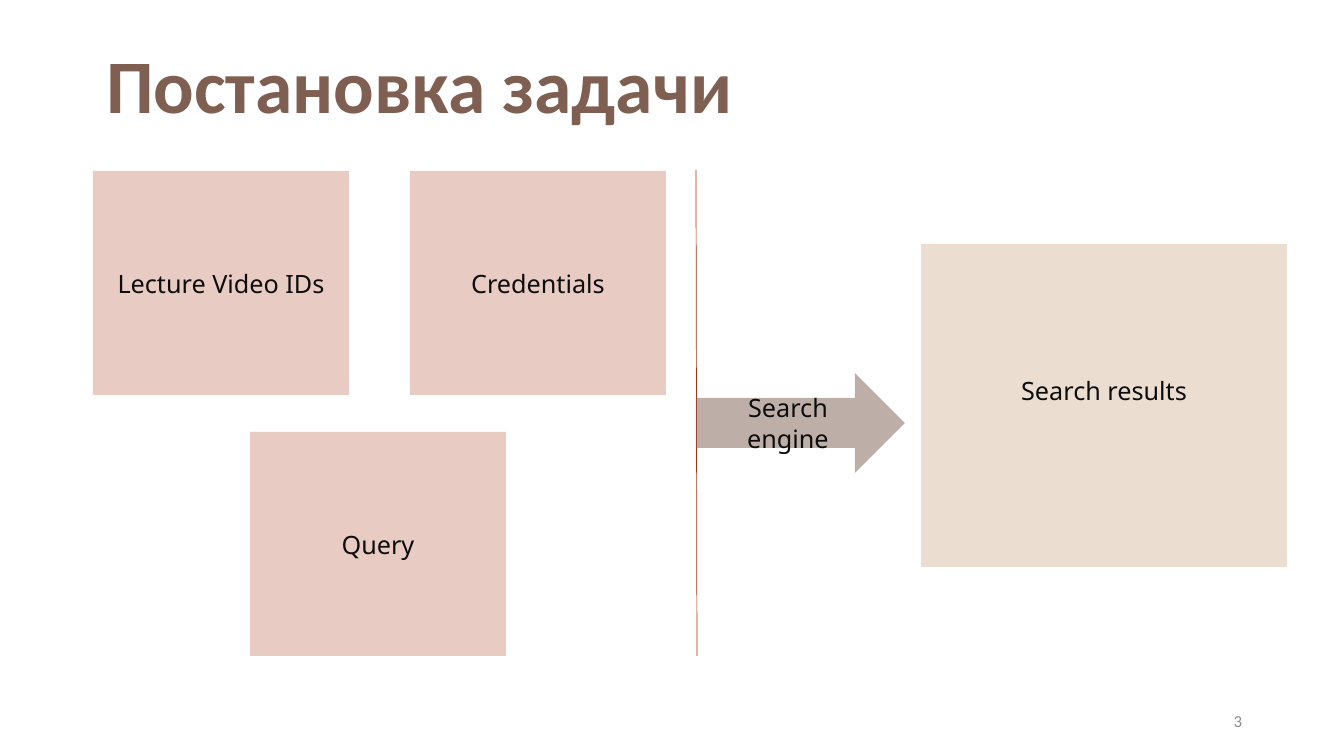
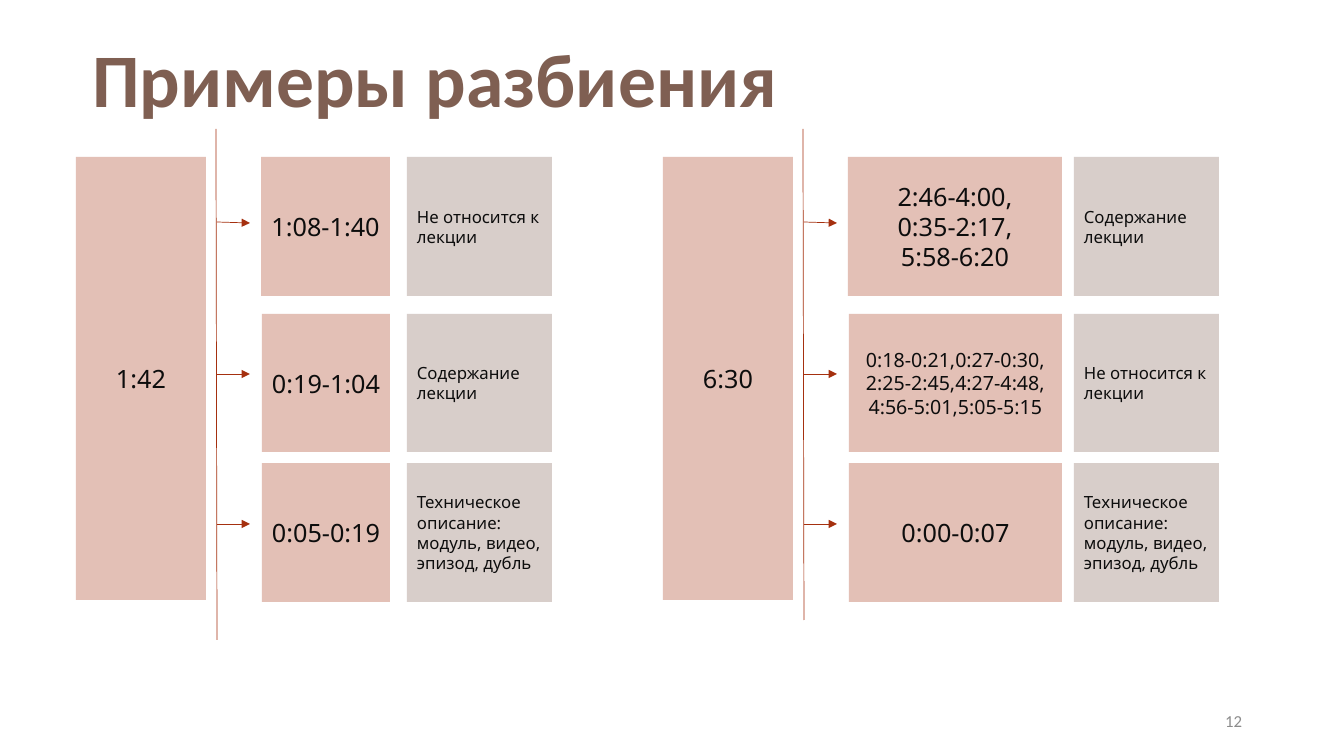
"""Build two slides: a search task diagram and examples of video segmentation."""
from dataclasses import dataclass

from lxml.etree import SubElement
from pptx import Presentation
from pptx.dml.color import RGBColor
from pptx.enum.shapes import MSO_CONNECTOR as Conn, MSO_SHAPE as Shp
from pptx.enum.text import MSO_ANCHOR as Anchor, PP_ALIGN as Al
from pptx.oxml.ns import qn
from pptx.slide import Slide
from pptx.text.text import TextFrame
from pptx.util import Emu, Pt

EMU_PER_PX = 914400 / 100.8


@dataclass(frozen=True)
class Theme:
    red: str = "A5300F"
    brown: str = "7F5F52"
    sand: str = "B27D49"
    ink: str = "0D0D0D"
    grey: str = "8C8C8C"
    head_font: str = "Calibri"
    body_font: str = "Noto Sans"
    title: int = 54
    body: int = 18
    dense: int = 14
    small: int = 12
    line: float = 0.5


T = Theme()


@dataclass(frozen=True)
class Box:
    x: int
    y: int
    w: int
    h: int
    text: str
    color: str = T.red
    alpha: int = 25
    size: int = T.body
    align: Al = Al.CENTER
    kind: Shp = Shp.RECTANGLE
    bottom: int = 5


@dataclass(frozen=True)
class Row:
    top: int
    height: int
    nudge: int
    arrow_from: int
    arrow_to: int


@dataclass(frozen=True)
class Segment:
    span: str
    label: str
    size: int = T.body


@dataclass(frozen=True)
class Example:
    x: int
    duration: str
    span_w: int
    label_x: int
    line_end: int
    segments: tuple[Segment, ...]


def px(n: float) -> Emu:
    """Turn picture pixels into EMU."""
    return Emu(round(n * EMU_PER_PX))


def write(tf: TextFrame, text: str, font: str, size: int, color: str,
          align: Al, bold: bool = False) -> None:
    """Fill a text frame, one paragraph a line."""
    tf.text = text
    for p in tf.paragraphs:
        p.alignment = align
        p.font.name, p.font.size, p.font.bold = font, Pt(size), bold
        p.font.color.rgb = RGBColor.from_string(color)


def add_box(s: Slide, b: Box) -> None:
    """Draw a translucent shape with text."""
    sp = s.shapes.add_shape(b.kind, px(b.x), px(b.y), px(b.w), px(b.h))
    sp.shadow.inherit = False
    sp.line.fill.background()
    sp.fill.solid()
    sp.fill.fore_color.rgb = RGBColor.from_string(b.color)
    clr = sp.fill._xPr.find(qn("a:solidFill"))[0]
    SubElement(clr, qn("a:alpha"), val=str(b.alpha * 1000))
    tf = sp.text_frame
    tf.word_wrap, tf.vertical_anchor = True, Anchor.MIDDLE
    tf.margin_bottom = px(b.bottom)
    write(tf, b.text, T.body_font, b.size, T.ink, b.align)


def add_line(s: Slide, x1: int, y1: int, x2: int, y2: int, arrow: bool = False) -> None:
    """Draw a thin line, with an arrowhead at its end if asked."""
    c = s.shapes.add_connector(Conn.STRAIGHT, px(x1), px(y1), px(x2), px(y2))
    c.line.width = Pt(T.line)
    c.line.color.rgb = RGBColor.from_string(T.red)
    if arrow:
        SubElement(c.line._get_or_add_ln(), qn("a:tailEnd"), type="triangle")
    SubElement(c._element.spPr, qn("a:effectLst"))


def add_slide(prs: Presentation, title: str, x: int, y: int, w: int, number: int) -> Slide:
    """Add a blank slide with its title and page number."""
    s = prs.slides.add_slide(prs.slide_layouts[6])
    tf = s.shapes.add_textbox(px(x), px(y), px(w), px(102)).text_frame
    tf.word_wrap = False
    write(tf, title, T.head_font, T.title, T.brown, Al.CENTER, bold=True)
    tf = s.shapes.add_textbox(px(950), px(701), px(302), px(40)).text_frame
    tf.word_wrap, tf.vertical_anchor = True, Anchor.MIDDLE
    write(tf, str(number), T.head_font, T.small, T.grey, Al.RIGHT)
    return s


def add_example(s: Slide, e: Example) -> None:
    """Draw one video, its segments and their labels."""
    add_box(s, Box(e.x, 157, 130, 443, e.duration, alpha=30))
    add_line(s, e.x + 140, 129, e.x + 141, e.line_end)
    for row, seg in zip(ROWS, e.segments):
        add_box(s, Box(e.x + 185 + row.nudge, row.top, e.span_w - row.nudge,
                       row.height, seg.span, alpha=30, size=seg.size))
        add_box(s, Box(e.label_x, row.top, 145, row.height, seg.label, T.brown, 30,
                       T.small, Al.LEFT))
        add_line(s, e.x + 141, row.arrow_from, e.x + 174, row.arrow_to, arrow=True)


INPUTS = (
    Box(93, 171, 256, 224, "Lecture Video IDs"),
    Box(410, 171, 256, 224, "Credentials"),
    Box(250, 432, 256, 224, "Query"),
)
RESULTS = Box(921, 244, 366, 323, "Search results", T.sand, bottom=35)
ENGINE = Box(696, 373, 209, 100, "Search engine", T.brown, 50, kind=Shp.RIGHT_ARROW)

ROWS = (
    Row(157, 139, 0, 222, 223),
    Row(314, 138, 1, 374, 374),
    Row(463, 139, 1, 524, 524),
)
OFF_TOPIC = "Не относится к лекции"
CONTENT = "Содержание лекции"
TECHNICAL = "Техническое описание: модуль, видео, эпизод, дубль"
EXAMPLES = (
    Example(76, "1:42", 129, 407, 640, (
        Segment("1:08-1:40", OFF_TOPIC),
        Segment("0:19-1:04", CONTENT),
        Segment("0:05-0:19", TECHNICAL),
    )),
    Example(663, "6:30", 214, 1074, 620, (
        Segment("2:46-4:00,\n0:35-2:17,\n5:58-6:20", CONTENT),
        Segment("0:18-0:21,0:27-0:30,\n2:25-2:45,4:27-4:48,\n4:56-5:01,5:05-5:15",
                OFF_TOPIC, T.dense),
        Segment("0:00-0:07", TECHNICAL),
    )),
)


def main() -> None:
    """Build and save the deck."""
    prs = Presentation()
    prs.slide_width, prs.slide_height = px(1344), px(756)

    s = add_slide(prs, "Постановка задачи", 93, 33, 653, 3)
    for b in (RESULTS, *INPUTS):
        add_box(s, b)
    add_line(s, 696, 170, 697, 656)
    add_box(s, ENGINE)

    s = add_slide(prs, "Примеры разбиения", 79, 27, 712, 12)
    for e in EXAMPLES:
        add_example(s, e)

    prs.save("out.pptx")


main()
